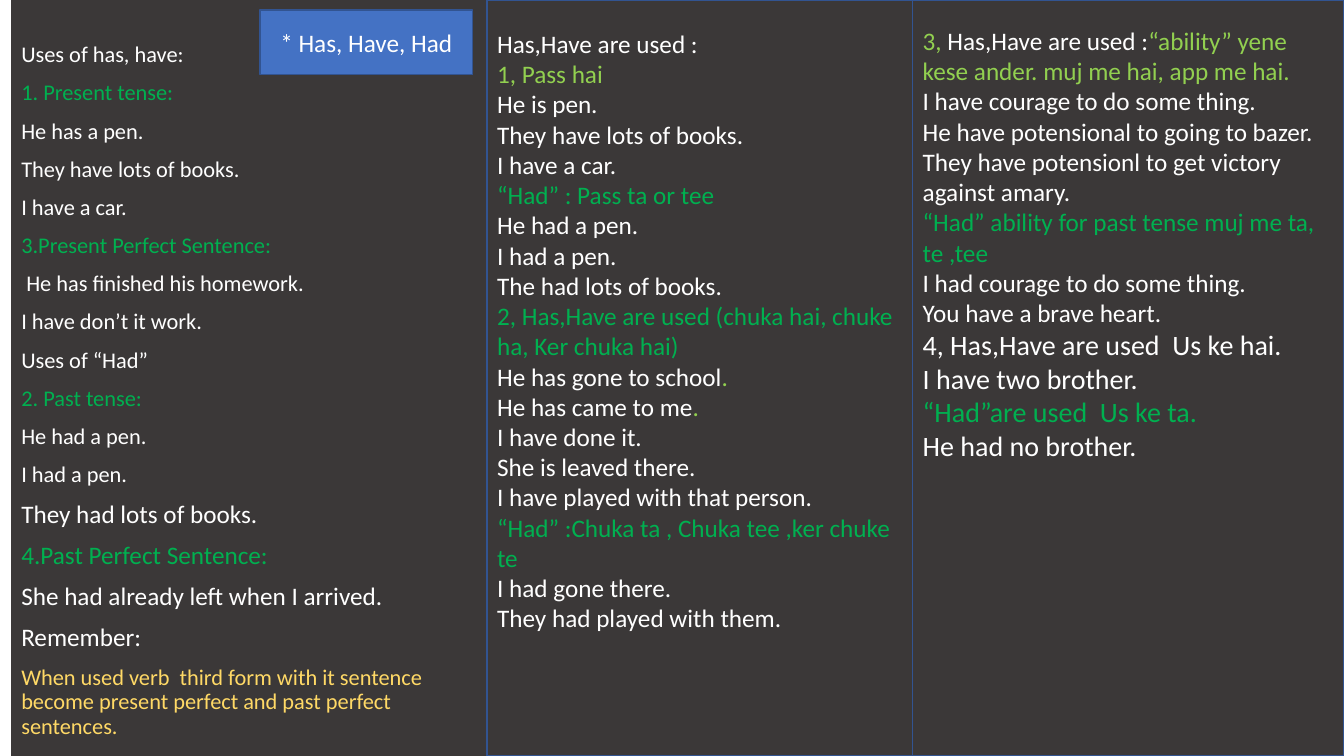
from pptx import Presentation
from pptx import util as u
from pptx.dml import color
from pptx.enum import shapes, text
from pptx.oxml import parse_xml
from pptx.oxml.ns import nsdecls

WHITE, GREEN, LIME, GOLD = "FFFFFF", "00B050", "92D050", "FFD966"
DARK, BLUE, EDGE = "3B3838", "4472C4", "325491"


def rgb(value):
    return color.RGBColor.from_string(value)


def span(words, **look):
    return words, look


def lines(*texts, **look):
    return [[span(words, **look)] for words in texts]


class Board:
    """Holds the deck, its current page and the style of the notes."""

    font = "Calibri"
    columns, rows = 120, 75

    def __init__(self):
        self.deck = Presentation()
        self.deck.slide_width = u.Inches(13.33)
        self.deck.slide_height = u.Inches(7.5)
        self.page = self.deck.slides.add_slide(self.deck.slide_layouts[1])

    def area(self, left, top, right, bottom):
        wide = self.deck.slide_width / self.columns
        high = self.deck.slide_height / self.rows
        return [round(v) for v in (left * wide, top * high,
                                   (right - left) * wide, (bottom - top) * high)]

    def paint(self, box, fill, edge=None):
        box.fill.solid()
        box.fill.fore_color.rgb = rgb(fill)
        if edge:
            box.line.color.rgb = rgb(edge)
            box.line.width = u.Pt(1)
        else:
            box.line.fill.background()

    def place(self, box, grid):
        box.left, box.top, box.width, box.height = self.area(*grid)

    def fill_text(self, box, paras, size=18, inset=0.05, before=0, spacing=1.0,
                  anchor=text.MSO_ANCHOR.TOP, align=text.PP_ALIGN.LEFT):
        frame = box.text_frame
        frame.word_wrap = True
        frame.auto_size = text.MSO_AUTO_SIZE.NONE
        frame.vertical_anchor = anchor
        frame.margin_top = u.Inches(inset)
        for index, spans in enumerate(paras):
            para = frame.add_paragraph() if index else frame.paragraphs[0]
            para.alignment = align
            para.line_spacing = spacing
            para.space_before = u.Pt(before if index else 0)
            para.space_after = u.Pt(0)
            for words, look in spans:
                run = para.add_run()
                run.text = words
                run.font.name = self.font
                run.font.size = u.Pt(look.get("size", size))
                run.font.color.rgb = rgb(look.get("ink", WHITE))

    def body(self, grid, paras, **layout):
        box = self.page.placeholders[1]
        self.place(box, grid)
        self.paint(box, DARK)
        self.fill_text(box, paras, **layout)
        for para in box.text_frame.paragraphs:
            props = para._p.get_or_add_pPr()
            props.set("marL", "0")
            props.set("indent", "0")
            props.append(parse_xml(f"<a:buNone {nsdecls('a')}/>"))

    def panel(self, grid, paras, **layout):
        box = self.page.shapes.add_shape(shapes.MSO_SHAPE.RECTANGLE, *self.area(*grid))
        box.shadow.inherit = False
        self.paint(box, DARK, EDGE)
        self.fill_text(box, paras, **layout)

    def title(self, grid, words):
        box = self.page.shapes.title
        self.place(box, grid)
        box._element.spPr.append(parse_xml(
            f'<a:prstGeom {nsdecls("a")} prst="roundRect"><a:avLst/></a:prstGeom>'))
        self.paint(box, BLUE, EDGE)
        self.fill_text(box, lines(words), anchor=text.MSO_ANCHOR.MIDDLE,
                       align=text.PP_ALIGN.CENTER)
        self.page.shapes._spTree.append(box._element)


def main():
    board = Board()
    board.body((1, 0, 43.5, 75), [
        *lines("Uses of has, have:"),
        *lines("1. Present tense:", ink=GREEN),
        *lines("He has a pen.", "They have lots of books.", "I have a car."),
        *lines("3.Present Perfect Sentence:", ink=GREEN),
        *lines(" He has finished his homework.", "I have don’t it work.", "Uses of “Had”"),
        *lines("2. Past tense:", ink=GREEN),
        *lines("He had a pen.", "I had a pen."),
        *lines("They had lots of books.", size=18),
        *lines("4.Past Perfect Sentence:", ink=GREEN, size=18),
        *lines("She had already left when I arrived.", "Remember:", size=18),
        *lines("When used verb  third form with it sentence become present perfect "
               "and past perfect sentences.", ink=GOLD),
    ], size=16, inset=0.43, before=10, spacing=0.9)
    board.panel((43.5, 0, 81.5, 75), [
        *lines("Has,Have are used :"),
        *lines("1, Pass hai", ink=LIME),
        *lines("He is pen.", "They have lots of books.", "I have a car."),
        *lines("“Had” : Pass ta or tee", ink=GREEN),
        *lines("He had a pen.", "I had a pen.", "The had lots of books."),
        *lines("2, Has,Have are used (chuka hai, chuke ha, Ker chuka hai)", ink=GREEN),
        [span("He has gone to school"), span(".", ink=LIME)],
        [span("He has came to me"), span(".", ink=LIME)],
        *lines("I have done it.", "She is leaved there.", "I have played with that person."),
        *lines("“Had” :Chuka ta , Chuka tee ,ker chuke te", ink=GREEN),
        *lines("I had gone there.", "They had played with them."),
    ], inset=0.28)
    board.panel((81.5, 0, 120, 75), [
        [span("3, ", ink=LIME), span("Has,Have are used :"),
         span("“ability” yene kese ander. muj me hai, app me hai.", ink=LIME)],
        *lines("I have courage to do some thing.", "He have potensional to going to bazer.",
               "They have potensionl to get victory against amary."),
        *lines("“Had” ability for past tense muj me ta, te ,tee", ink=GREEN),
        *lines("I had courage to do some thing.", "You have a brave heart."),
        *lines("4, Has,Have are used  Us ke hai.", "I have two brother.", size=20),
        *lines("“Had”are used  Us ke ta.", ink=GREEN, size=20),
        *lines("He had no brother.", size=20),
    ], inset=0.25)
    board.title((23.2, 1, 42.2, 7.4), "* Has, Have, Had")
    board.deck.save("out.pptx")


if __name__ == "__main__":
    main()
